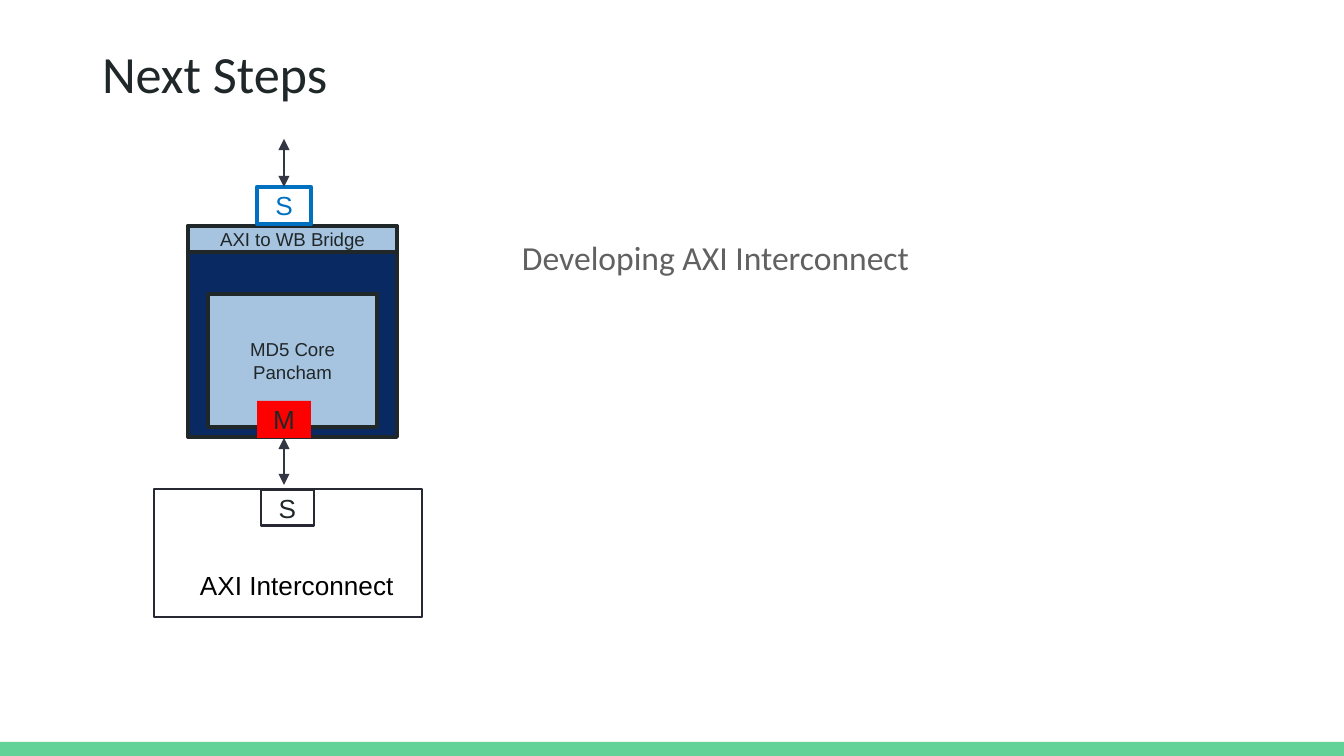
from dataclasses import dataclass
from typing import Optional

from lxml import etree
from pptx import Presentation
from pptx import util as u
from pptx.dml.color import RGBColor
from pptx.enum import shapes, text
from pptx.oxml.ns import qn

PX = 9144000 / 1344  # EMU per px

GREEN = RGBColor(0x63, 0xD2, 0x97)
INK = RGBColor(0x20, 0x27, 0x29)
GREY = RGBColor(0x61, 0x61, 0x61)
BLACK = RGBColor(0, 0, 0)
WHITE = RGBColor(0xFF, 0xFF, 0xFF)
NAVY = RGBColor(0x09, 0x29, 0x63)
PALE_BLUE = RGBColor(0xA6, 0xC4, 0xE0)
RED = RGBColor(0xFD, 0, 0)
BLUE = RGBColor(0, 0x70, 0xC0)
OUTLINE = RGBColor(0x27, 0x29, 0x32)
ARROW = RGBColor(0x33, 0x36, 0x43)


@dataclass
class Box:
    x: int
    y: int
    w: int
    h: int
    fill: Optional[RGBColor] = None
    line: Optional[RGBColor] = None
    weight: float = 2
    label: str = ""
    size: int = 14
    color: RGBColor = INK


BAR = Box(0, 742, 1344, 14, GREEN)
BRIDGE = Box(188, 226, 209, 211, NAVY, INK)
BRIDGE_HEADER = Box(188, 226, 209, 26, PALE_BLUE, INK, label="AXI to WB Bridge", size=10)
CORE = Box(208, 294, 169, 133, PALE_BLUE, INK, label="MD5 Core\nPancham", size=10)
MASTER_PORT = Box(257, 401, 54, 37, RED, label="M")
SLAVE_PORT = Box(257, 187, 54, 37, WHITE, BLUE, 2.25, "S", color=BLUE)
INTERCONNECT = Box(154, 489, 268, 128, None, OUTLINE, 1.5)
INTERCONNECT_PORT = Box(261, 490, 53, 36, WHITE, OUTLINE, 1.5, "S")


def px(n: float) -> u.Emu:
    return u.Emu(round(n * PX))


def write(tf, content: str, *, size: int, color: RGBColor, font: str = "Arial",
          align=text.PP_ALIGN.LEFT, anchor=text.MSO_ANCHOR.TOP,
          inset: tuple = (13, 7), wrap: bool = True) -> None:
    """Fill a text frame, one paragraph per line; inset is (sides, top and bottom) in px."""
    tf.word_wrap = wrap
    tf.auto_size = text.MSO_AUTO_SIZE.NONE
    tf.vertical_anchor = anchor
    tf.margin_left = tf.margin_right = px(inset[0])
    tf.margin_top = tf.margin_bottom = px(inset[1])
    for i, words in enumerate(content.split("\n")):
        p = tf.paragraphs[0] if i == 0 else tf.add_paragraph()
        p.alignment = align
        r = p.add_run()
        r.text = words
        r.font.size, r.font.name = u.Pt(size), font
        r.font.color.rgb = color


def draw_box(s, b: Box):
    sp = s.shapes.add_shape(shapes.MSO_SHAPE.RECTANGLE, px(b.x), px(b.y), px(b.w), px(b.h))
    sp.shadow.inherit = False
    if b.fill is None:
        sp.fill.background()
    else:
        sp.fill.solid()
        sp.fill.fore_color.rgb = b.fill
    if b.line is None:
        sp.line.fill.background()
    else:
        sp.line.color.rgb = b.line
        sp.line.width = u.Pt(b.weight)
    if b.label:
        write(sp.text_frame, b.label, size=b.size, color=b.color, inset=(0, 0),
              align=text.PP_ALIGN.CENTER, anchor=text.MSO_ANCHOR.MIDDLE)
    return sp


def draw_arrow(s, x: int, top: int, bottom: int):
    """Draw a vertical arrow with a head at both ends."""
    cx = s.shapes.add_connector(shapes.MSO_CONNECTOR.STRAIGHT, px(x), px(top), px(x), px(bottom))
    cx.line.color.rgb = ARROW
    cx.line.width = u.Pt(0.75)
    ln = cx.line._get_or_add_ln()
    for end in ("a:headEnd", "a:tailEnd"):
        etree.SubElement(ln, qn(end), type="triangle")
    etree.SubElement(cx._element.spPr, qn("a:effectLst"))
    return cx


def add_text(s, x: int, y: int, w: int, h: int, content: str, **fmt) -> None:
    sp = s.shapes.add_textbox(px(x), px(y), px(w), px(h))
    write(sp.text_frame, content, **fmt)


def main() -> None:
    prs = Presentation()
    prs.slide_width, prs.slide_height = px(1344), px(756)
    s = prs.slides.add_slide(prs.slide_layouts[5])

    title = s.shapes.title
    title.left, title.top, title.width, title.height = px(81), px(28), px(927), px(85)
    write(title.text_frame, "Next Steps", size=28, color=INK, font="Calibri", inset=(21, 13))
    draw_box(s, BAR)
    add_text(s, 509, 230, 671, 136, "Developing AXI Interconnect",
             size=18, color=GREY, font="Calibri")

    for b in (BRIDGE, BRIDGE_HEADER, CORE):
        draw_box(s, b)
    master = draw_box(s, MASTER_PORT)
    slave = draw_box(s, SLAVE_PORT)
    port_x = SLAVE_PORT.x + SLAVE_PORT.w // 2
    draw_arrow(s, port_x, 139, SLAVE_PORT.y).end_connect(slave, 0)
    draw_arrow(s, port_x, MASTER_PORT.y + MASTER_PORT.h, 485).begin_connect(master, 2)

    draw_box(s, INTERCONNECT)
    add_text(s, 187, 562, 222, 46, "AXI Interconnect", size=14, color=BLACK, wrap=False)
    draw_box(s, INTERCONNECT_PORT)

    prs.save("out.pptx")


if __name__ == "__main__":
    main()
